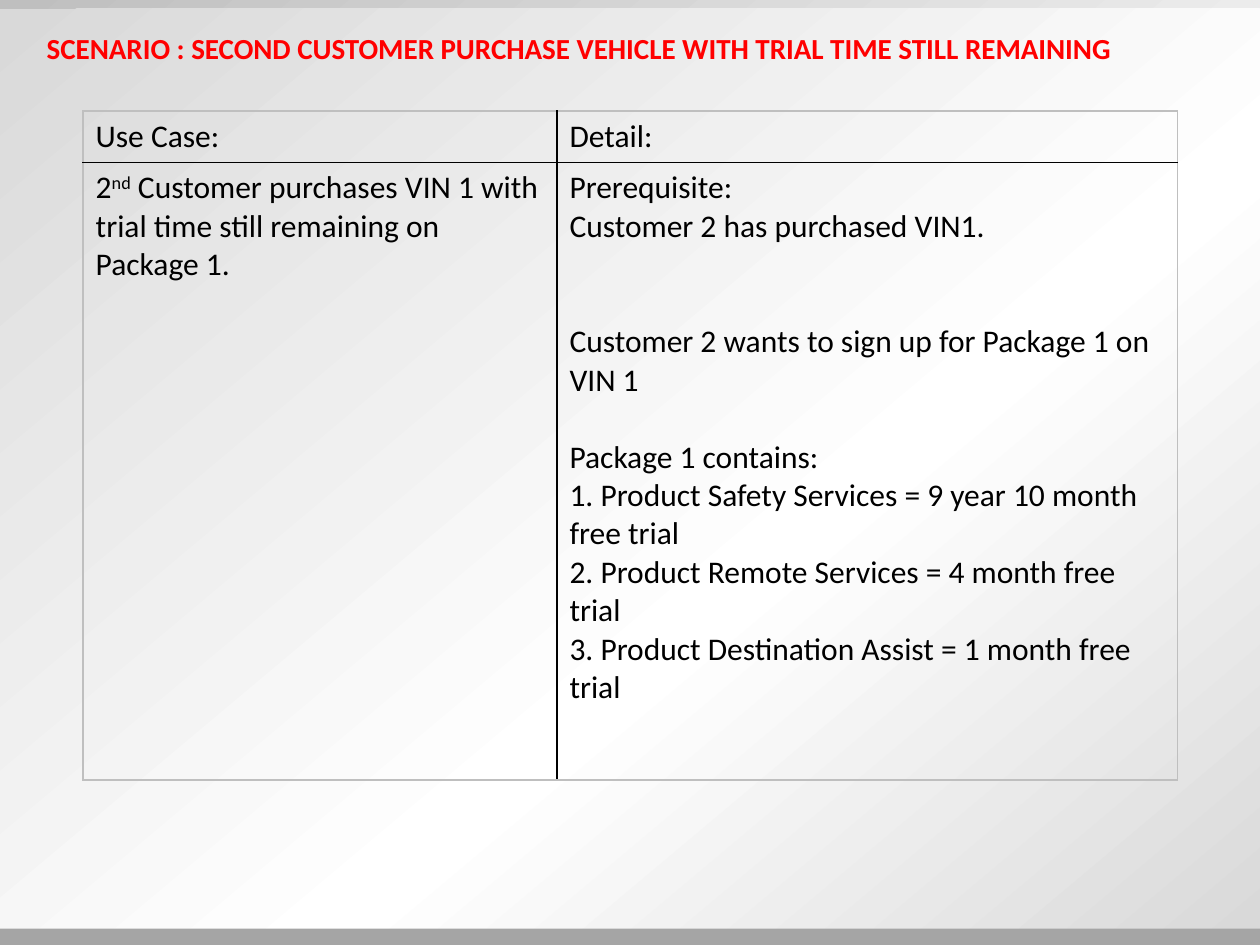
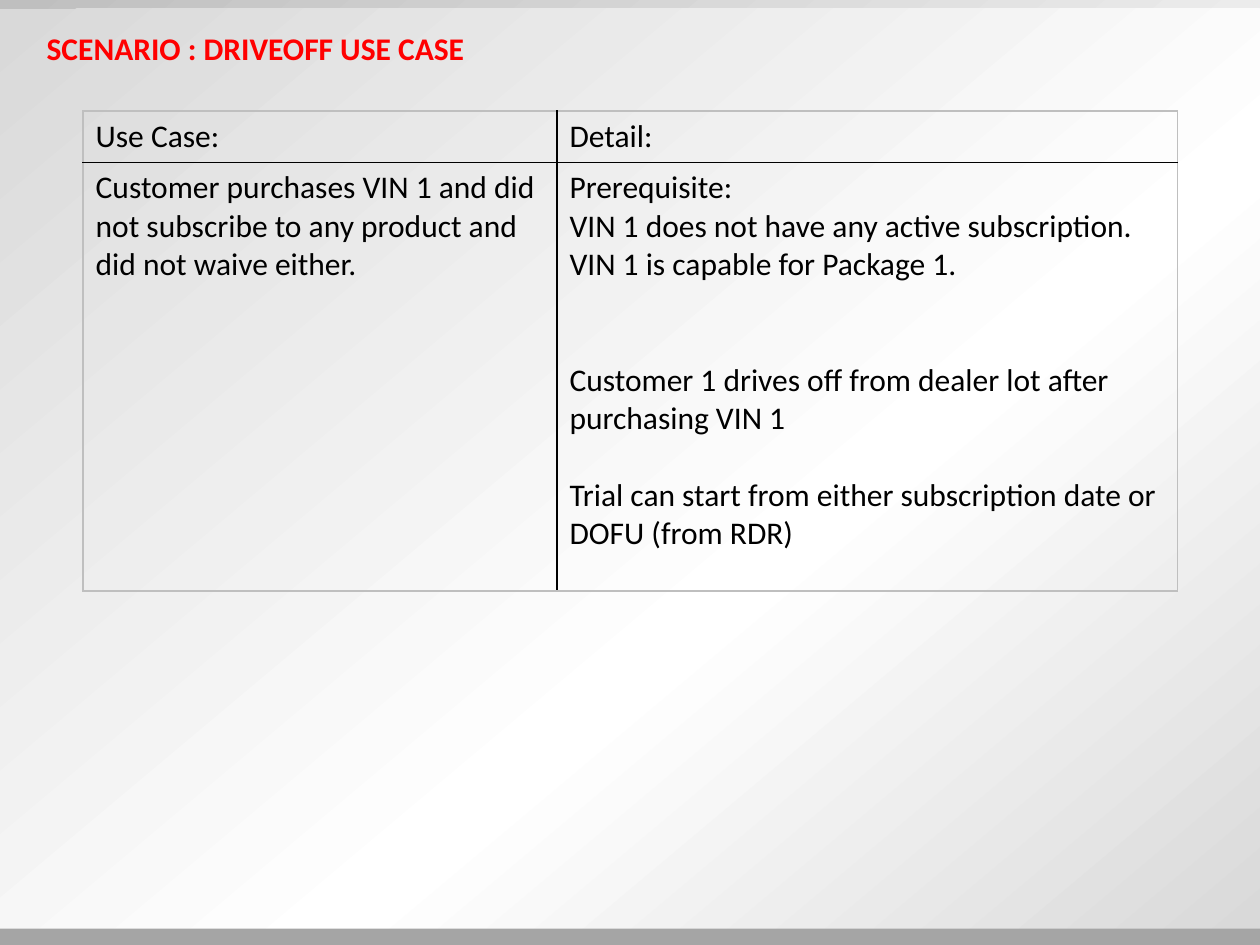
import copy
from dataclasses import dataclass

import pptx
import pptx.util
import pptx.dml.color
import pptx.enum.shapes
import pptx.enum.text
import pptx.oxml
import pptx.oxml.ns

RGBColor = pptx.dml.color.RGBColor
Pt = pptx.util.Pt

RED = RGBColor(0xFF, 0x00, 0x00)
BLACK = RGBColor(0x00, 0x00, 0x00)
WHITE = RGBColor(0xFF, 0xFF, 0xFF)
PALE_GREY = RGBColor(0xF2, 0xF2, 0xF2)
LIGHT_GREY = RGBColor(0xD9, 0xD9, 0xD9)
MID_GREY = RGBColor(0xBF, 0xBF, 0xBF)
BAND_GREY = RGBColor(0xA5, 0xA5, 0xA5)

FONT = "Calibri"
BODY_SIZE = 18
LINE_HEIGHT = 22  # points taken by one line of body text
SLIDE_WIDTH = pptx.util.Inches(10)
SLIDE_HEIGHT = pptx.util.Inches(7.5)
TITLE_ONLY = 5


@dataclass
class Box:
    """A region in percent of the slide's width and height."""
    left: float
    top: float
    width: float
    height: float

    def lengths(self):
        return (int(SLIDE_WIDTH * self.left / 100), int(SLIDE_HEIGHT * self.top / 100),
                int(SLIDE_WIDTH * self.width / 100), int(SLIDE_HEIGHT * self.height / 100))


TITLE_BOX = Box(2.5, 0.33, 86.8, 9.4)
HEADER_ROW_SHARE = 5.45
USE_CASE_COLUMN = 0.433  # share of the table's width


def add_panel(slide, box, colours):
    """Add a borderless rectangle, plain or with a diagonal gradient."""
    panel = slide.shapes.add_shape(pptx.enum.shapes.MSO_SHAPE.RECTANGLE, *box.lengths())
    panel.shadow.inherit = False
    panel.line.fill.background()
    if len(colours) == 1:
        panel.fill.solid()
        panel.fill.fore_color.rgb = colours[0]
        return panel
    panel.fill.gradient()
    panel.fill.gradient_angle = 310
    stop_list = panel.element.find(".//" + pptx.oxml.ns.qn("a:gsLst"))
    stop_list.append(copy.deepcopy(stop_list[0]))
    for stop, position, colour in zip(panel.fill.gradient_stops, (0, 0.61, 1), colours):
        stop.position = position
        stop.color.rgb = colour
    return panel


def move_background_to_layout(slide, layout):
    """Draw the shared gradient panels and bottom band behind every slide."""
    for placeholder in list(layout.placeholders):
        if placeholder.placeholder_format.idx != 0:
            placeholder.element.getparent().remove(placeholder.element)
    panels = (
        add_panel(slide, Box(0, 0, 100, 99.7), (MID_GREY, PALE_GREY, MID_GREY)),
        add_panel(slide, Box(0, 0.93, 100, 97.4), (LIGHT_GREY, WHITE, LIGHT_GREY)),
        add_panel(slide, Box(0, 98.27, 100, 1.73), (BAND_GREY,)),
    )
    for index, panel in enumerate(panels):
        layout.shapes.element.insert(2 + index, panel.element)


def format_title(slide, text, size):
    title = slide.shapes.title
    title.left, title.top, title.width, title.height = TITLE_BOX.lengths()
    frame = title.text_frame
    frame.word_wrap = True
    frame.auto_size = pptx.enum.text.MSO_AUTO_SIZE.NONE
    frame.vertical_anchor = pptx.enum.text.MSO_ANCHOR.MIDDLE
    frame.margin_left = frame.margin_right = pptx.util.Inches(0.12)
    frame.margin_top = frame.margin_bottom = 0
    frame.text = text
    paragraph = frame.paragraphs[0]
    paragraph.alignment = pptx.enum.text.PP_ALIGN.LEFT
    paragraph.font.name = FONT
    paragraph.font.size = Pt(size)
    paragraph.font.bold = True
    paragraph.font.color.rgb = RED


def set_border(cell, side, colour):
    cell._tc.get_or_add_tcPr().append(pptx.oxml.parse_xml(
        f'<a:{side} {pptx.oxml.ns.nsdecls("a")} w="12700"><a:solidFill>'
        f'<a:srgbClr val="{colour}"/></a:solidFill></a:{side}>'))


def fill_cell(cell, lines):
    """Write (gap in lines, runs) pairs; a run starting with ^ is raised."""
    frame = cell.text_frame
    for index, (gap, runs) in enumerate(lines):
        paragraph = frame.add_paragraph() if index else frame.paragraphs[0]
        paragraph.space_before = Pt(gap * LINE_HEIGHT)
        paragraph.font.name = FONT
        paragraph.font.size = Pt(BODY_SIZE)
        paragraph.font.color.rgb = BLACK
        for text in runs:
            run = paragraph.add_run()
            run.text = text.lstrip("^")
            if text.startswith("^"):
                run._r.get_or_add_rPr().set("baseline", "30000")


def add_use_case_table(slide, box, use_case, details):
    table = slide.shapes.add_table(2, 2, *box.lengths()).table
    table.first_row = table.horz_banding = False
    width, height = box.lengths()[2:]
    table.columns[0].width = int(width * USE_CASE_COLUMN)
    table.columns[1].width = width - table.columns[0].width
    table.rows[0].height = int(SLIDE_HEIGHT * HEADER_ROW_SHARE / 100)
    table.rows[1].height = height - table.rows[0].height

    contents = (([(0, ["Use Case:"])], [(0, ["Detail:"])]), (use_case, details))
    for row, row_contents in enumerate(contents):
        for column, lines in enumerate(row_contents):
            cell = table.cell(row, column)
            # Grey outside, black between the cells
            set_border(cell, "lnL", BLACK if column else MID_GREY)
            set_border(cell, "lnR", MID_GREY if column else BLACK)
            set_border(cell, "lnT", BLACK if row else MID_GREY)
            set_border(cell, "lnB", MID_GREY if row else BLACK)
            cell.fill.background()
            fill_cell(cell, lines)


SCENARIOS = (
    {
        "title": "SCENARIO : SECOND CUSTOMER PURCHASE VEHICLE WITH TRIAL TIME STILL REMAINING",
        "title_size": 16.6,
        "table_height": 70.8,
        "use_case": [(0, ["2", "^nd", " Customer purchases VIN 1 with trial time still "
                          "remaining on Package 1."])],
        "details": [
            (0, ["Prerequisite:"]),
            (0, ["Customer 2 has purchased VIN1."]),
            (2, ["Customer 2 wants to sign up for Package 1 on VIN 1"]),
            (1, ["Package 1 contains:"]),
            (0, ["1. Product Safety Services = 9 year 10 month free trial"]),
            (0, ["2. Product Remote Services = 4 month free trial"]),
            (0, ["3. Product Destination Assist = 1 month free trial"]),
        ],
    },
    {
        "title": "SCENARIO : DRIVEOFF USE CASE",
        "title_size": 18,
        "table_height": 50.8,
        "use_case": [(0, ["Customer purchases VIN 1 and did not subscribe to any product "
                          "and did not waive either."])],
        "details": [
            (0, ["Prerequisite:"]),
            (0, ["VIN 1 does not have any active subscription."]),
            (0, ["VIN 1 is capable for Package 1."]),
            (2, ["Customer 1 drives off from dealer lot after purchasing VIN 1"]),
            (1, ["Trial can start from either subscription date or DOFU (from RDR)"]),
        ],
    },
)


def main():
    presentation = pptx.Presentation()
    presentation.slide_width = SLIDE_WIDTH
    presentation.slide_height = SLIDE_HEIGHT
    layout = presentation.slide_layouts[TITLE_ONLY]
    for index, scenario in enumerate(SCENARIOS):
        slide = presentation.slides.add_slide(layout)
        if index == 0:
            move_background_to_layout(slide, layout)
        format_title(slide, scenario["title"], scenario["title_size"])
        add_use_case_table(slide, Box(6.6, 11.75, 86.85, scenario["table_height"]),
                           scenario["use_case"], scenario["details"])
    presentation.save("out.pptx")


if __name__ == "__main__":
    main()
